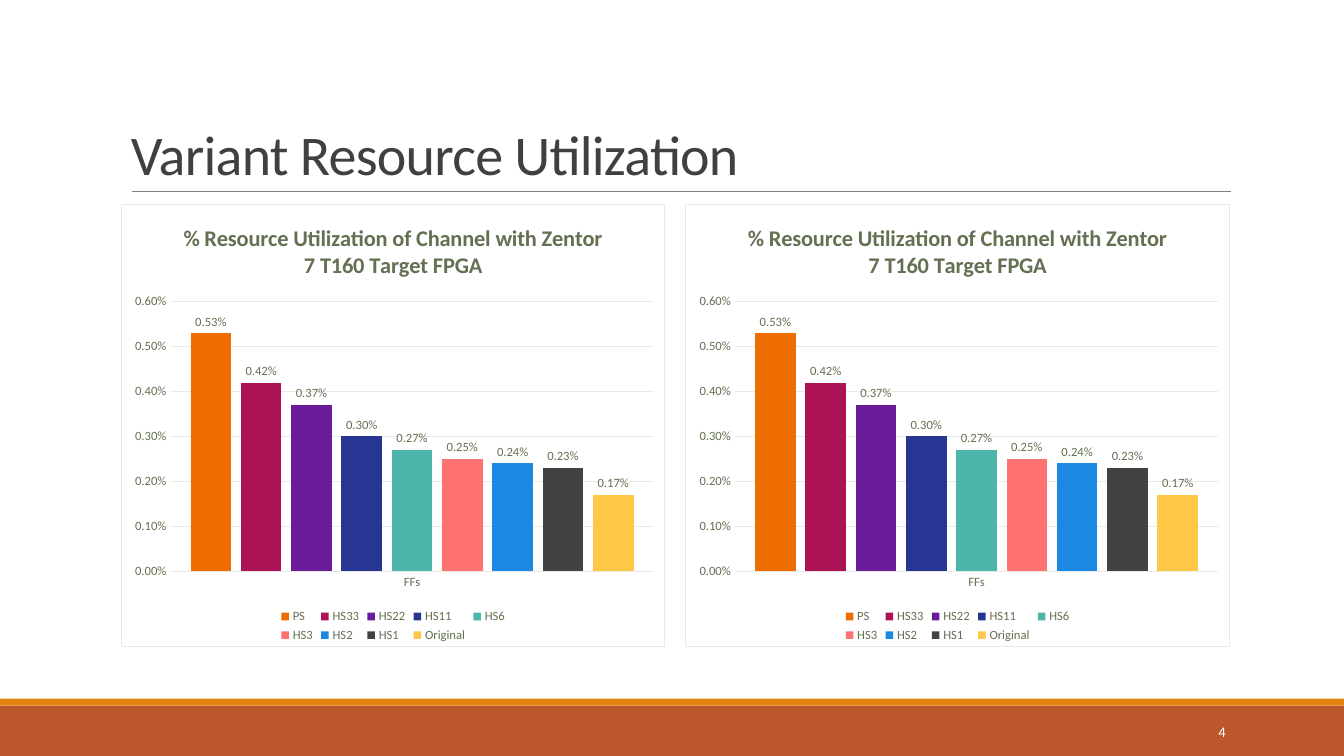
from dataclasses import dataclass

from lxml import etree
from pptx import Presentation
from pptx.chart.chart import Chart
from pptx.chart.data import CategoryChartData
from pptx.dml.color import RGBColor
from pptx.enum.chart import XL_CHART_TYPE as ChartType
from pptx.enum.chart import XL_LABEL_POSITION as LabelPos
from pptx.enum.chart import XL_LEGEND_POSITION as LegendPos
from pptx.enum.chart import XL_TICK_MARK as TickMark
from pptx.enum.shapes import MSO_CONNECTOR as Connector
from pptx.enum.shapes import MSO_SHAPE as Shape
from pptx.enum.text import MSO_ANCHOR as Anchor
from pptx.enum.text import PP_ALIGN as Align
from pptx.oxml import parse_xml
from pptx.oxml.ns import nsdecls, qn
from pptx.slide import Slide
from pptx.util import Pt

FONT = "Calibri"
OLIVE, PALE, WHITE = "637052", "E8EBE4", "FFFFFF"
PERCENT = "0.00%"
CHART_TITLE = "% Resource Utilization of Channel with Zentor 7 T160 Target FPGA"


@dataclass
class Box:
    left: float
    top: float
    width: float
    height: float

    def emu(self) -> tuple:
        return Pt(self.left), Pt(self.top), Pt(self.width), Pt(self.height)


@dataclass
class Variant:
    name: str
    share: float
    color: str


@dataclass
class Label:
    text: str
    box: Box
    size: float
    color: str
    anchor: Anchor
    align: Align = Align.LEFT
    line_spacing: float = 1.0
    tracking: int = 0


VARIANTS = [
    Variant("PS", 0.0053, "EF6C00"),
    Variant("HS33", 0.0042, "AC1356"),
    Variant("HS22", 0.0037, "6A1B9A"),
    Variant("HS11", 0.003, "273693"),
    Variant("HS6", 0.0027, "4CB6AC"),
    Variant("HS3", 0.0025, "FE7272"),
    Variant("HS2", 0.0024, "1C88E3"),
    Variant("HS1", 0.0023, "424242"),
    Variant("Original", 0.0017, "FFC746"),
]
BANDS = [
    (Box(0, 504, 960, 36), "BD582C"),
    (Box(0, 499, 960, 5), "E48312"),
]
LABELS = [
    Label("Variant Resource Utilization", Box(86.4, 22.5, 792, 114.2), 40, "404040",
          Anchor.BOTTOM, line_spacing=0.85, tracking=-50),
    Label("4", Box(780, 508.5, 102.7, 28.8), 10.5, WHITE, Anchor.MIDDLE, Align.RIGHT),
]
CHARTS = [Box(left, 145.7, 388.8, 316.5) for left in (86.4, 489.6)]


def rgb(value: str) -> RGBColor:
    return RGBColor.from_string(value)


def set_font(font, size: float, color: str, bold: bool = False) -> None:
    font.name, font.size, font.bold = FONT, Pt(size), bold
    font.color.rgb = rgb(color)


def add_band(s: Slide, box: Box, color: str) -> None:
    sp = s.shapes.add_shape(Shape.RECTANGLE, *box.emu())
    sp.shadow.inherit = False
    sp.fill.solid()
    sp.fill.fore_color.rgb = rgb(color)
    sp.line.fill.background()


def add_rule(s: Slide, left: float, right: float, y: float) -> None:
    line = s.shapes.add_connector(Connector.STRAIGHT, Pt(left), Pt(y), Pt(right), Pt(y))
    line.line.color.rgb = rgb("808080")
    line.line.width = Pt(0.5)
    etree.SubElement(line.element.spPr, qn("a:effectLst"))


def add_label(s: Slide, label: Label) -> None:
    tf = s.shapes.add_textbox(*label.box.emu()).text_frame
    tf.word_wrap = True
    tf.vertical_anchor = label.anchor
    p = tf.paragraphs[0]
    p.alignment, p.line_spacing = label.align, label.line_spacing
    r = p.add_run()
    r.text = label.text
    set_font(r.font, label.size, label.color)
    if label.tracking:
        r.font._element.set("spc", str(label.tracking))


def frame_chart(chart: Chart) -> None:
    """Fill and outline the chart area, and fix the inner plot area."""
    area = chart.element.find(qn("c:chart"))
    area.addnext(parse_xml(
        f'<c:spPr {nsdecls("c", "a")}>'
        f'<a:solidFill><a:srgbClr val="{WHITE}"/></a:solidFill>'
        f'<a:ln w="{Pt(0.75)}"><a:solidFill><a:srgbClr val="{PALE}"/></a:solidFill></a:ln>'
        '</c:spPr>'))
    plot_area = area.find(qn("c:plotArea"))
    for old in plot_area.findall(qn("c:layout")):
        plot_area.remove(old)
    settings = {"layoutTarget": "inner", "xMode": "edge", "yMode": "edge",
                "x": 0.09, "y": 0.22, "w": 0.89, "h": 0.61}
    items = "".join(f'<c:{key} val="{val}"/>' for key, val in settings.items())
    plot_area.insert(0, parse_xml(
        f'<c:layout {nsdecls("c")}><c:manualLayout>{items}</c:manualLayout></c:layout>'))


def add_utilization_chart(s: Slide, box: Box) -> None:
    data = CategoryChartData(number_format=PERCENT)
    data.categories = ["FFs"]
    for variant in VARIANTS:
        data.add_series(variant.name, [variant.share])
    chart = s.shapes.add_chart(ChartType.COLUMN_CLUSTERED, *box.emu(), data).chart
    set_font(chart.font, 10, "000000")
    frame_chart(chart)

    # Title and legend
    chart.has_title = True
    r = chart.chart_title.text_frame.paragraphs[0].add_run()
    r.text = CHART_TITLE
    set_font(r.font, 16, OLIVE, bold=True)
    chart.chart_title.include_in_layout = False
    chart.has_legend = True
    chart.legend.position = LegendPos.BOTTOM
    chart.legend.include_in_layout = False
    set_font(chart.legend.font, 9, OLIVE)

    # Axes
    cat, val = chart.category_axis, chart.value_axis
    for axis in (cat, val):
        axis.major_tick_mark = axis.minor_tick_mark = TickMark.NONE
        set_font(axis.tick_labels.font, 9, OLIVE)
    for line in (cat.format.line, val.major_gridlines.format.line):
        line.color.rgb = rgb(PALE)
        line.width = Pt(0.75)
    val.format.line.fill.background()
    val.minimum_scale, val.maximum_scale, val.major_unit = 0, 0.006, 0.001
    val.tick_labels.number_format = PERCENT
    val.tick_labels.number_format_is_linked = False

    # Columns
    plot = chart.plots[0]
    plot.gap_width, plot.overlap, plot.vary_by_categories = 100, -24, False
    for series, variant in zip(plot.series, VARIANTS):
        series.format.fill.solid()
        series.format.fill.fore_color.rgb = rgb(variant.color)
        labels = series.data_labels
        labels.show_value = True
        labels.position = LabelPos.OUTSIDE_END
        labels.number_format, labels.number_format_is_linked = PERCENT, False
        set_font(labels.font, 9, OLIVE)


def main() -> None:
    prs = Presentation()
    prs.slide_width, prs.slide_height = Pt(960), Pt(540)
    s = prs.slides.add_slide(prs.slide_layouts[6])
    for box, color in BANDS:
        add_band(s, box, color)
    add_rule(s, 94.3, 879, 136.8)
    for label in LABELS:
        add_label(s, label)
    for box in CHARTS:
        add_utilization_chart(s, box)
    prs.save("out.pptx")


if __name__ == "__main__":
    main()
